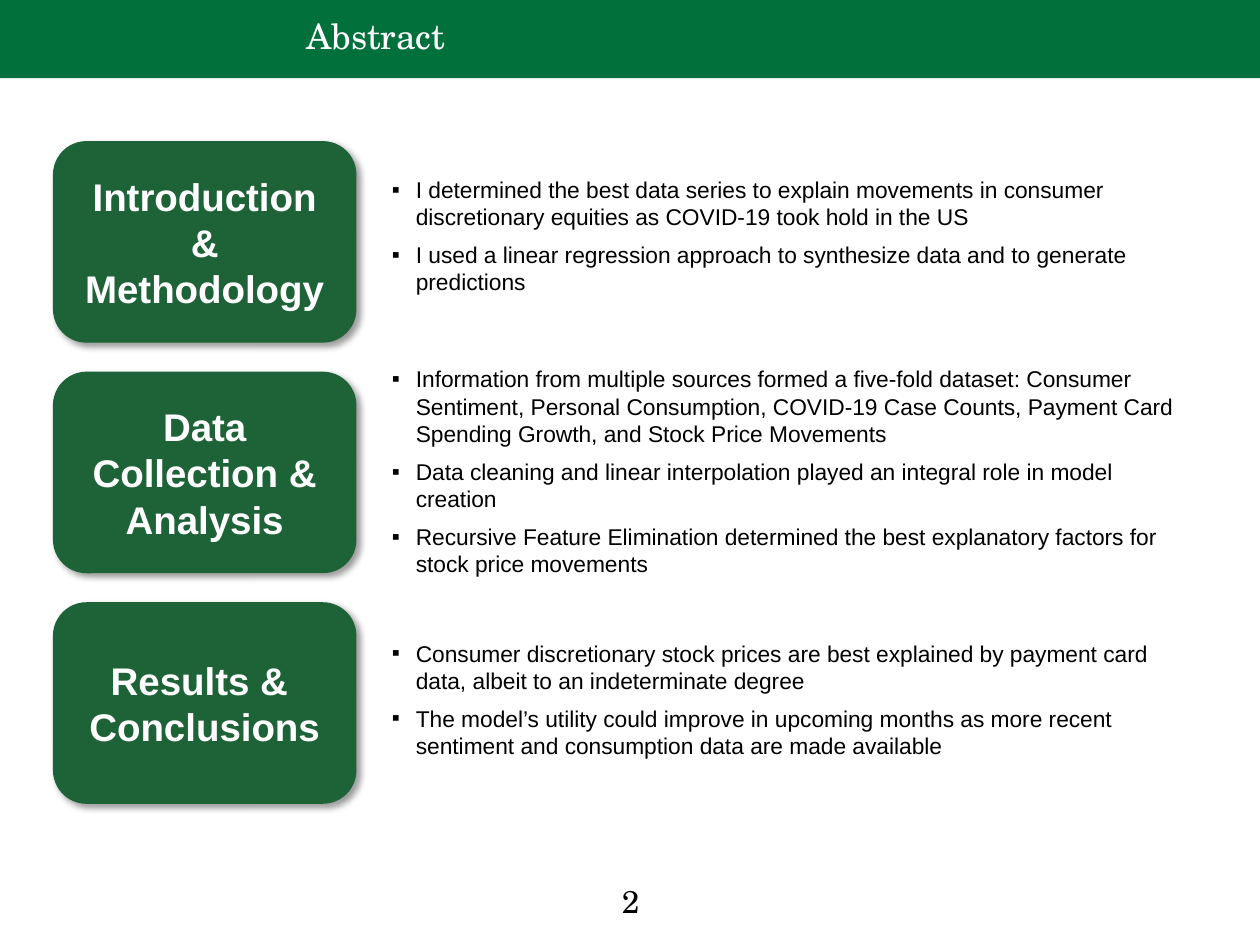
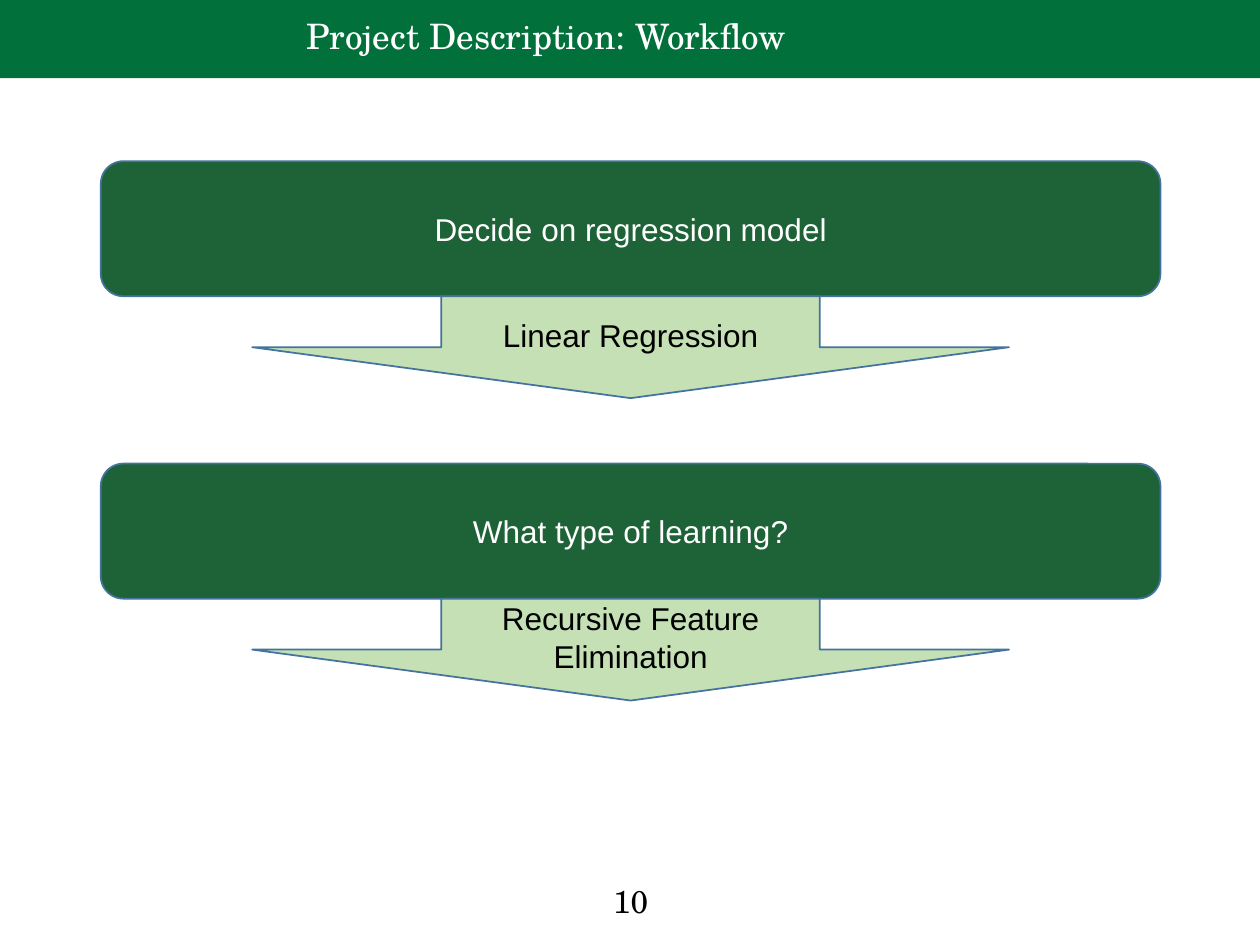
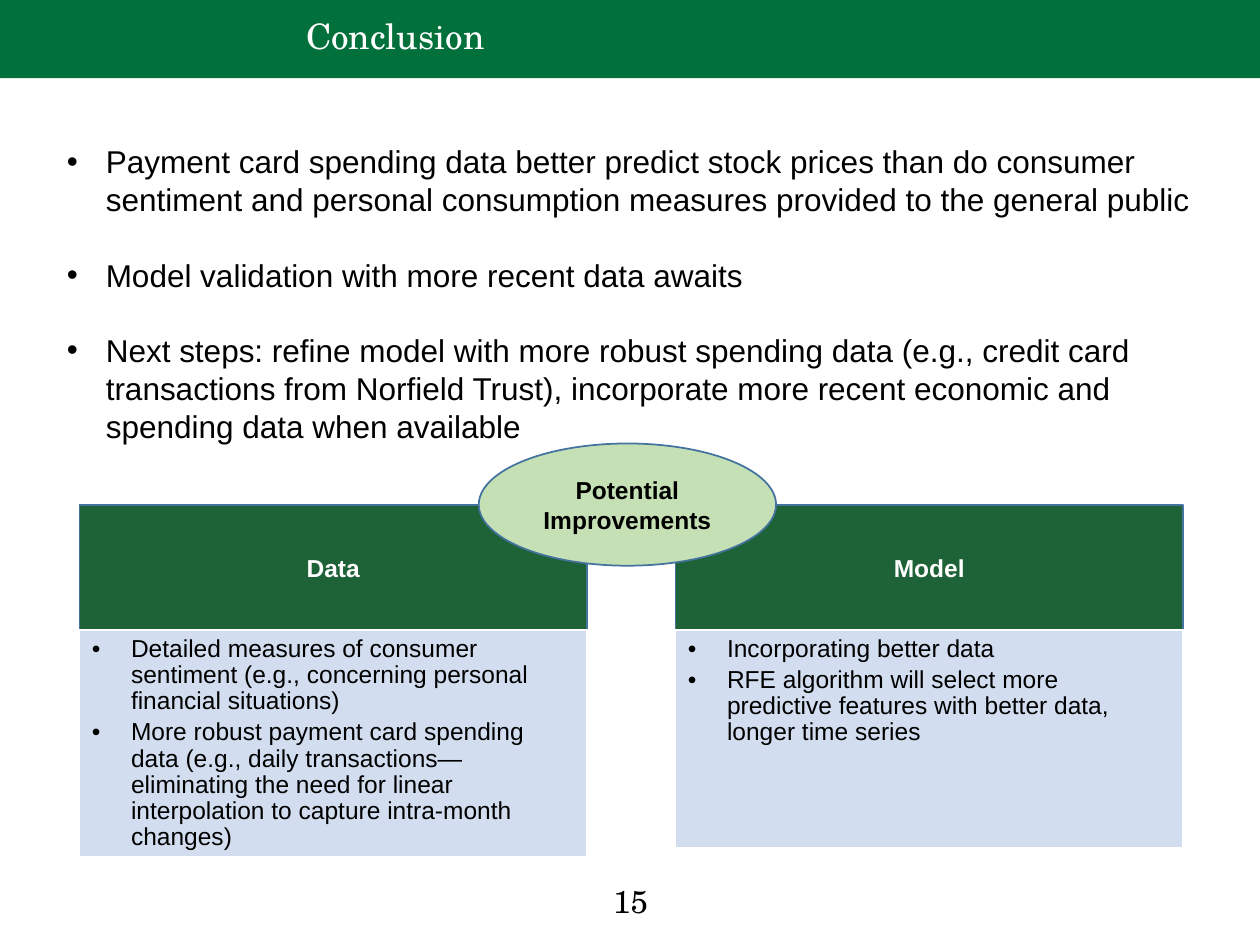
from dataclasses import dataclass

from lxml import etree
from pptx import Presentation, util as u
from pptx.dml.color import RGBColor
from pptx.enum import shapes, text
from pptx.oxml import ns

BAND_GREEN = "01703B"
DARK_GREEN = "1E6237"
LIGHT_GREEN = "C5E0B4"
PALE_BLUE = "D2DEEF"
OUTLINE_BLUE = "43739E"
WHITE = "FFFFFF"
BLACK = "000000"
HEADING_FONT = "TeX Gyre Schola"
BODY_FONT = "Arial"
TITLE_ONLY, TITLE_AND_BODY = 5, 1
CENTER = text.PP_ALIGN.CENTER
MIDDLE = text.MSO_ANCHOR.MIDDLE


@dataclass
class Box:
    """A rectangle in inches."""
    left: float
    top: float
    width: float
    height: float

    def share(self, x, y, width, height):
        """The rectangle at the given shares of this one."""
        return Box(self.left + x * self.width, self.top + y * self.height,
                   width * self.width, height * self.height)

    def shift(self, x=0, y=0):
        return Box(self.left + x, self.top + y, self.width, self.height)

    def emu(self):
        return [u.Inches(n) for n in (self.left, self.top, self.width, self.height)]


SLIDE = Box(0, 0, 10, 7.5)
BAND = Box(0, 0, SLIDE.width, 0.62)
TITLE = Box(2.33, 0.01, 7.67, 0.59)
PAGE_NUMBER = Box(3.88, 6.95, 2.25, 0.4)


def color(hex_string):
    return RGBColor.from_string(hex_string)


def add_xml(parent, tag, **attributes):
    element = etree.SubElement(parent, ns.qn(tag))
    for name, value in attributes.items():
        element.set(name, str(value))
    return element


# Text

def write(frame, paragraphs, size, ink=BLACK, anchor=MIDDLE, **style):
    frame.word_wrap = True
    frame.auto_size = text.MSO_AUTO_SIZE.NONE
    frame.vertical_anchor = anchor
    fill_paragraphs(frame, paragraphs, size, ink, **style)


def fill_paragraphs(frame, paragraphs, size, ink=BLACK, font=BODY_FONT,
                    bold=False, align=text.PP_ALIGN.LEFT, bullet=None,
                    indent=0, before=0, after=0, line_spacing=None):
    for index, words in enumerate(paragraphs):
        paragraph = frame.add_paragraph() if index else frame.paragraphs[0]
        paragraph.alignment = align
        paragraph.space_before = u.Pt(before if index else 0)
        paragraph.space_after = u.Pt(after)
        if line_spacing:
            paragraph.line_spacing = line_spacing
        if bullet:
            add_bullet(paragraph, bullet, indent)
        run = paragraph.add_run()
        run.text = words
        run.font.name = font
        run.font.size = u.Pt(size)
        run.font.bold = bold
        run.font.color.rgb = color(ink)


def add_bullet(paragraph, character, indent):
    properties = paragraph._p.get_or_add_pPr()
    properties.set("marL", str(u.Inches(indent)))
    properties.set("indent", str(-u.Inches(indent)))
    add_xml(properties, "a:buFont", typeface=BODY_FONT)
    add_xml(properties, "a:buChar", char=character)


# Shapes

def add_block(slide, kind, box, fill, outline=None):
    shape = slide.shapes.add_shape(kind, *box.emu())
    shape.shadow.inherit = False
    shape.fill.solid()
    shape.fill.fore_color.rgb = color(fill)
    if outline:
        shape.line.color.rgb = color(outline)
        shape.line.width = u.Pt(1)
    else:
        shape.line.fill.background()
    return shape


def add_label(slide, kind, box, fill, lines, size, ink=WHITE, bold=False,
              outline=OUTLINE_BLUE):
    shape = add_block(slide, kind, box, fill, outline)
    write(shape.text_frame, lines, size, ink, bold=bold, align=CENTER)
    return shape


def add_drop_shadow(shape):
    effects = shape._element.spPr.find(ns.qn("a:effectLst"))
    shadow = add_xml(effects, "a:outerShdw", blurRad=u.Pt(4), dist=u.Pt(3),
                     dir=45 * 60000, algn="tl", rotWithShape=0)
    shade = add_xml(shadow, "a:srgbClr", val=BLACK)
    add_xml(shade, "a:alpha", val=40000)


def place(shape, box):
    shape.left, shape.top, shape.width, shape.height = box.emu()


def add_text_box(slide, box):
    return slide.shapes.add_textbox(*box.emu()).text_frame


# Slide frame: band, title and page number

def start_slide(presentation, layout, title, number):
    slide = presentation.slides.add_slide(presentation.slide_layouts[layout])
    band = add_block(slide, shapes.MSO_SHAPE.RECTANGLE, BAND, BAND_GREEN)
    slide.shapes.title._element.addprevious(band._element)
    place(slide.shapes.title, TITLE)
    write(slide.shapes.title.text_frame, [title], 20, WHITE,
          font=HEADING_FONT, line_spacing=0.9)
    write(add_text_box(slide, PAGE_NUMBER), [str(number)], 18,
          font=HEADING_FONT, align=CENTER, anchor=text.MSO_ANCHOR.TOP)
    return slide


# Abstract: a tile with its list in each row

def add_abstract_row(slide, box, heading, points, nudge):
    tile = add_label(slide, shapes.MSO_SHAPE.ROUNDED_RECTANGLE,
                     box.share(0, 0, 0.263, 1), DARK_GREEN, heading, 22,
                     bold=True, outline=None)
    add_drop_shadow(tile)
    points_box = box.share(0.283, 0, 0.717, 1).shift(y=nudge)
    write(add_text_box(slide, points_box), points, 13, bullet="▪",
          indent=0.19, after=6)


def build_abstract(presentation):
    slide = start_slide(presentation, TITLE_ONLY, "Abstract", 2)
    rows = [
        (["Introduction & Methodology"],
         ["I determined the best data series to explain movements in consumer "
          "discretionary equities as COVID-19 took hold in the US",
          "I used a linear regression approach to synthesize data and to "
          "generate predictions"], -0.05),
        (["Data Collection & Analysis"],
         ["Information from multiple sources formed a five-fold dataset: "
          "Consumer Sentiment, Personal Consumption, COVID-19 Case Counts, "
          "Payment Card Spending Growth, and Stock Price Movements",
          "Data cleaning and linear interpolation played an integral role in "
          "model creation",
          "Recursive Feature Elimination determined the best explanatory "
          "factors for stock price movements"], -0.01),
        (["Results & ", "Conclusions"],
         ["Consumer discretionary stock prices are best explained by payment "
          "card data, albeit to an indeterminate degree",
          "The model’s utility could improve in upcoming months as more recent "
          "sentiment and consumption data are made available"], -0.03),
    ]
    first_row, row_pitch = Box(0.42, 1.12, 9.16, 1.6), 1.83
    for index, row in enumerate(rows):
        add_abstract_row(slide, first_row.shift(y=index * row_pitch), *row)


# Workflow: a question with the answer in an arrow below

def add_step(slide, box, question, answer):
    question_share = 0.57
    add_label(slide, shapes.MSO_SHAPE.ROUNDED_RECTANGLE,
              box.share(0, 0, 1, question_share), DARK_GREEN, [question], 18)
    add_label(slide, shapes.MSO_SHAPE.DOWN_ARROW,
              box.share(1 / 7, question_share, 5 / 7, 1 - question_share),
              LIGHT_GREEN, [answer], 18, BLACK)


def build_workflow(presentation):
    slide = start_slide(presentation, TITLE_ONLY,
                        "Project Description: Workflow", 10)
    steps = [("Decide on regression model", "Linear Regression"),
             ("What type of learning?", "Recursive Feature Elimination")]
    first_step, step_pitch = Box(0.8, 1.28, 8.41, 1.88), 2.4
    for index, step in enumerate(steps):
        add_step(slide, first_step.shift(y=index * step_pitch), *step)


# Conclusion: findings above two columns of improvements

def add_findings(slide, box, findings):
    body = slide.placeholders[1]
    place(body, box)
    write(body.text_frame, findings, 18, anchor=text.MSO_ANCHOR.TOP,
          bullet="•", indent=0.31, before=21.5)


def add_cell_borders(cell, hex_string):
    properties = cell._tc.get_or_add_tcPr()
    for index, side in enumerate(("a:lnL", "a:lnR", "a:lnT", "a:lnB")):
        line = etree.Element(ns.qn(side), w=str(u.Pt(1)))
        add_xml(add_xml(line, "a:solidFill"), "a:srgbClr", val=hex_string)
        properties.insert(index, line)


def add_improvement_table(slide, box, points):
    table = slide.shapes.add_table(1, 1, *box.emu()).table
    table.first_row = table.horz_banding = False
    cell = table.cell(0, 0)
    cell.fill.solid()
    cell.fill.fore_color.rgb = color(PALE_BLUE)
    add_cell_borders(cell, WHITE)
    fill_paragraphs(cell.text_frame, points, 14, bullet="•", indent=0.31,
                    before=3, line_spacing=0.95)


def add_improvements(slide, box, columns):
    column_share, header_height = 0.46, 0.99
    for index, (heading, points, table_height) in enumerate(columns):
        column = box.share(index * (1 - column_share), 0, column_share, 1)
        header = Box(column.left, column.top, column.width, header_height)
        add_label(slide, shapes.MSO_SHAPE.RECTANGLE, header, DARK_GREEN,
                  [heading], 14, bold=True)
        add_improvement_table(
            slide, Box(column.left, column.top + header_height,
                       column.width, table_height), points)
    add_label(slide, shapes.MSO_SHAPE.OVAL,
              Box(box.left + 3.17, box.top - 0.49, 2.36, 0.97), LIGHT_GREEN,
              ["Potential Improvements"], 14, BLACK, bold=True)


def build_conclusion(presentation):
    slide = start_slide(presentation, TITLE_AND_BODY, "Conclusion", 15)
    add_findings(slide, Box(0.43, 1.08, 9.15, 2.26), [
        "Payment card spending data better predict stock prices than do "
        "consumer sentiment and personal consumption measures provided to the "
        "general public",
        "Model validation with more recent data awaits",
        "Next steps: refine model with more robust spending data (e.g., credit "
        "card transactions from Norfield Trust), incorporate more recent "
        "economic and spending data when available",
    ])
    add_improvements(slide, Box(0.63, 4.01, 8.76, 2.76), [
        ("Data",
         ["Detailed measures of consumer sentiment (e.g., concerning personal "
          "financial situations)",
          "More robust payment card spending data (e.g., daily "
          "transactions—eliminating the need for linear interpolation to "
          "capture intra-month changes)"], 1.77),
        ("Model",
         ["Incorporating better data",
          "RFE algorithm will select more predictive features with better "
          "data, longer time series"], 1.73),
    ])


def main():
    presentation = Presentation()
    presentation.slide_width = u.Inches(SLIDE.width)
    presentation.slide_height = u.Inches(SLIDE.height)
    build_abstract(presentation)
    build_workflow(presentation)
    build_conclusion(presentation)
    presentation.save("out.pptx")


if __name__ == "__main__":
    main()
